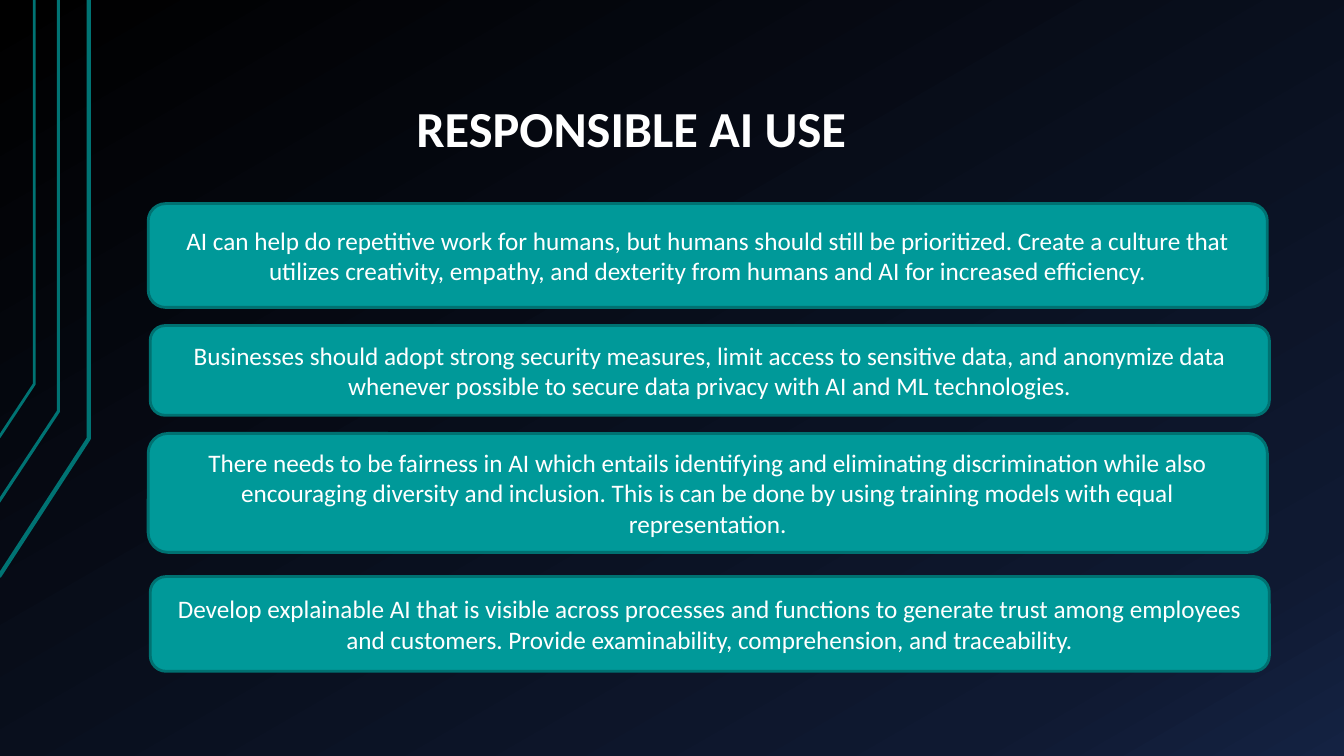
import copy

import pptx
import pptx.dml.color
import pptx.enum.shapes
import pptx.enum.text
import pptx.oxml.ns
import pptx.util

Inches = pptx.util.Inches
Pt = pptx.util.Pt
RGB = pptx.dml.color.RGBColor

BLACK = RGB(0x00, 0x00, 0x00)
NAVY = RGB(0x0F, 0x19, 0x31)
BLUE = RGB(0x14, 0x22, 0x42)
TEAL = RGB(0x00, 0x99, 0x99)
EDGE = RGB(0x00, 0x71, 0x71)
TRACE = RGB(0x00, 0x73, 0x73)
WHITE = RGB(0xFF, 0xFF, 0xFF)

STOPS = [(0, BLACK), (0.85, NAVY), (1, BLUE)]
TRACES = [
    (-0.01, 5.72, 0.88, 4.35, 3),
    (-0.02, 4.99, 0.58, 4.08, 2.25),
    (-0.01, 4.34, 0.34, 3.81, 2),
]
CARDS = [
    (1.47, 2.02, 1.03, "AI can help do repetitive work for humans, but humans should still be prioritized. Create a culture that utilizes creativity, empathy, and dexterity from humans and AI for increased efficiency."),
    (1.49, 3.23, 0.89, "Businesses should adopt strong security measures, limit access to sensitive data, and anonymize data whenever possible to secure data privacy with AI and ML technologies."),
    (1.47, 4.3, 1.18, "There needs to be fairness in AI which entails identifying and eliminating discrimination while also encouraging diversity and inclusion. This is can be done by using training models with equal representation."),
    (1.49, 5.72, 0.94, "Develop explainable AI that is visible across processes and functions to generate trust among employees and customers. Provide examinability, comprehension, and traceability."),
]


def style(frame, size, bold=False):
    for run in frame.paragraphs[0].runs:
        run.font.name = "Calibri"
        run.font.size = Pt(size)
        run.font.bold = bold
        run.font.color.rgb = WHITE


def paint(slide):
    fill = slide.background.fill
    fill.gradient()
    fill.gradient_angle = 300
    stops = slide.element.find(".//" + pptx.oxml.ns.qn("a:gsLst"))
    stops.append(copy.deepcopy(stops[-1]))
    for stop, (place, color) in zip(fill.gradient_stops, STOPS):
        stop.position = place
        stop.color.rgb = color


def trace(slide, left, low, right, bend, width):
    pen = slide.shapes.build_freeform(Inches(left), Inches(low))
    pen.add_line_segments(
        [(Inches(right), Inches(bend)), (Inches(right), 0)], close=False
    )
    line = pen.convert_to_shape()
    line.shadow.inherit = False
    line.fill.background()
    line.line.color.rgb = TRACE
    line.line.width = Pt(width)


def title(slide, left, top, width, height):
    box = slide.shapes.add_textbox(
        Inches(left), Inches(top), Inches(width), Inches(height)
    )
    frame = box.text_frame
    frame.word_wrap = True
    frame.vertical_anchor = pptx.enum.text.MSO_ANCHOR.BOTTOM
    frame.margin_left = Inches(2.8)
    frame.margin_right = Inches(0.13)
    frame.margin_top = frame.margin_bottom = Inches(0.07)
    frame.text = "RESPONSIBLE AI USE"
    frame.paragraphs[0].line_spacing = 0.9
    style(frame, 36, True)


def card(slide, left, top, width, height, text):
    box = slide.shapes.add_shape(
        pptx.enum.shapes.MSO_SHAPE.ROUNDED_RECTANGLE,
        Inches(left), Inches(top), Inches(width), Inches(height),
    )
    box.shadow.inherit = False
    box.fill.solid()
    box.fill.fore_color.rgb = TEAL
    box.line.color.rgb = EDGE
    box.line.width = Pt(2)
    frame = box.text_frame
    frame.word_wrap = True
    frame.vertical_anchor = pptx.enum.text.MSO_ANCHOR.MIDDLE
    frame.text = text
    frame.paragraphs[0].alignment = pptx.enum.text.PP_ALIGN.CENTER
    style(frame, 18)


def main():
    deck = pptx.Presentation()
    deck.slide_width = Inches(13.33)
    deck.slide_height = Inches(7.5)
    slide = deck.slides.add_slide(deck.slide_layouts[6])
    paint(slide)
    for points in TRACES:
        trace(slide, *points)
    title(slide, 1.33, 0.3, 11.33, 1.34)
    for left, top, height, text in CARDS:
        card(slide, left, top, 11.1, height, text)
    deck.save("out.pptx")


if __name__ == "__main__":
    main()
